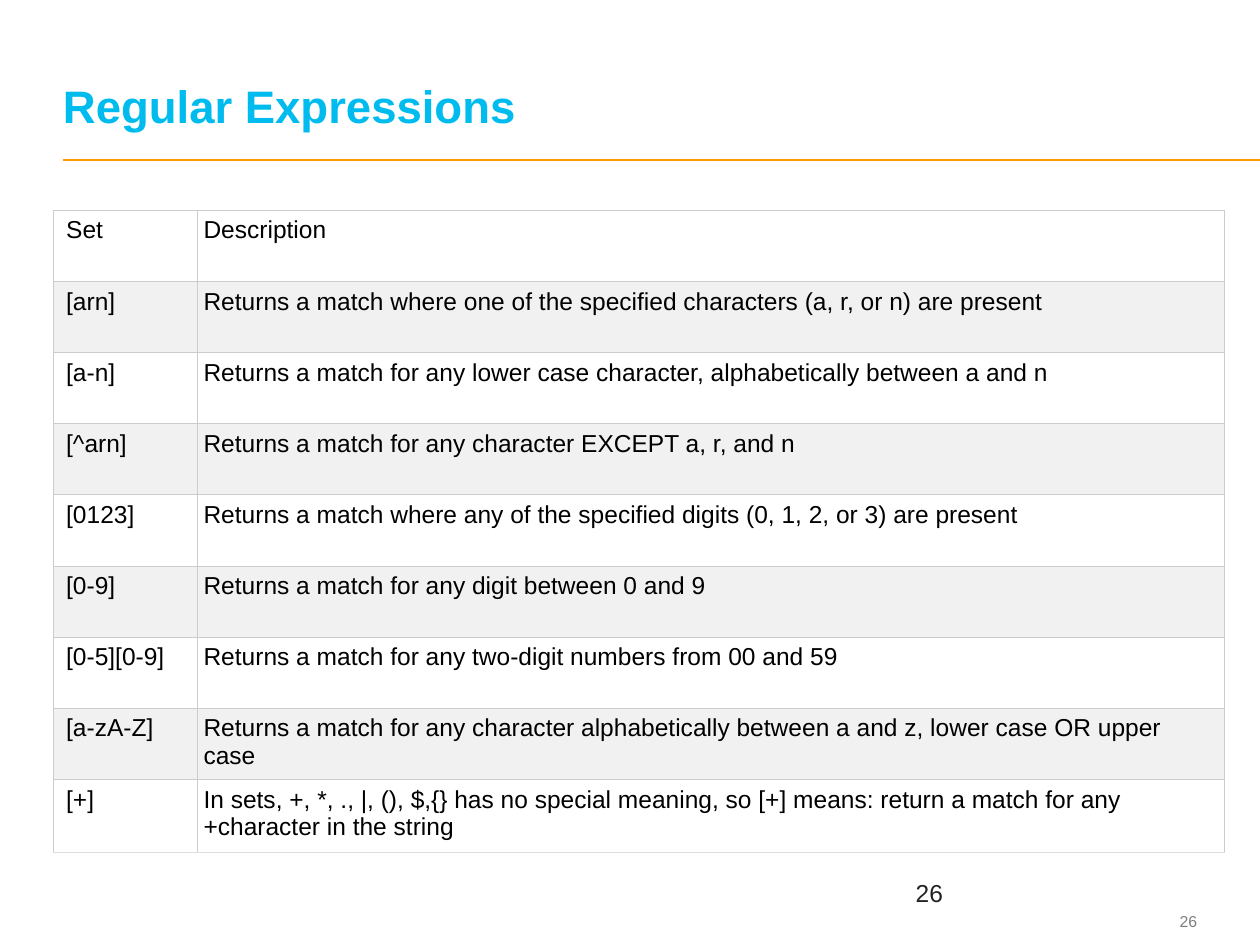
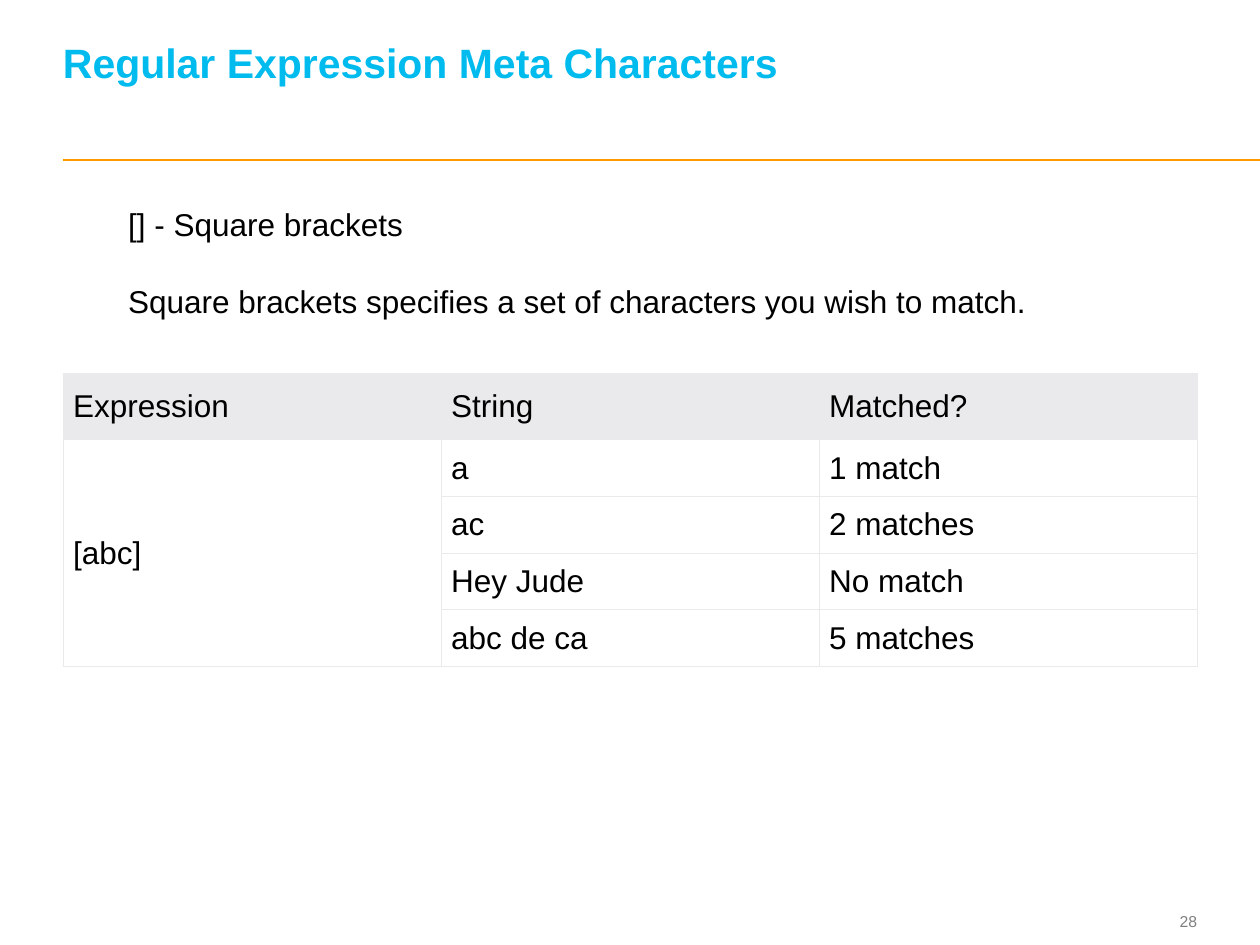
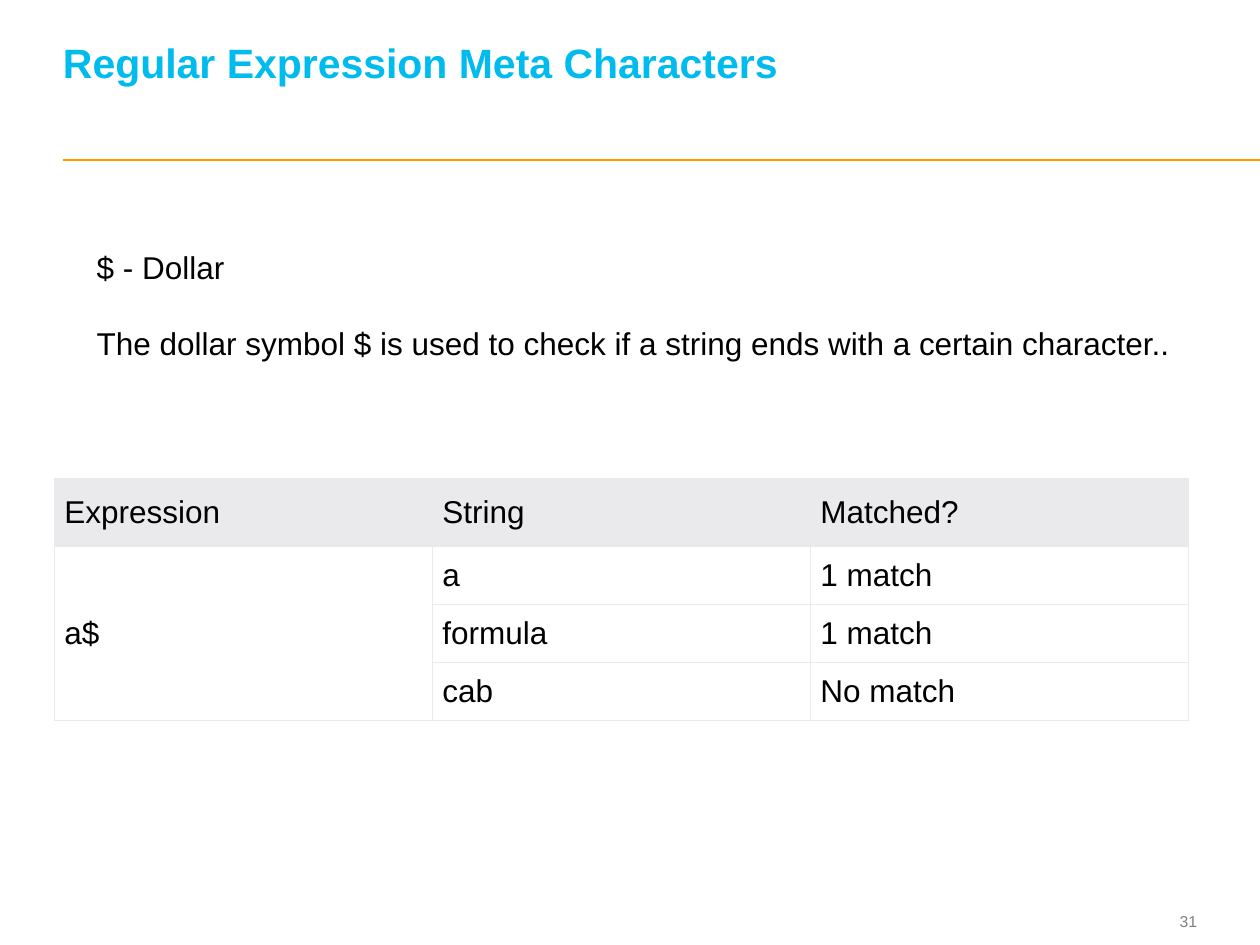
from lxml import etree
from pptx import Presentation
from pptx.dml import color
from pptx.enum import shapes, text
from pptx.oxml import ns
from pptx.util import Pt


def tint(code):
    return color.RGBColor.from_string(code)


class Deck:
    font = "Arial"
    sky, gold, black, gray, dark = "00BBEE", "FF9900", "000000", "7F7F7F", "222222"
    white, pale, mist = "FFFFFF", "F1F1F1", "EAEAEC"
    rim, foot = "CCCCCC", "DDDDDD"

    def __init__(self):
        self.show = Presentation()
        self.show.slide_width, self.show.slide_height = Pt(720), Pt(540)
        self.slide = None

    def page(self, num, head, size=26, lift=0):
        self.slide = self.show.slides.add_slide(self.show.slide_layouts[6])
        self.rule(36, 91.4, 720)
        tag = self.box((641.5, 517, 42.5, 19.4), [num], 9, self.gray, pads=(0, 0, 0, 0))
        tag.vertical_anchor = text.MSO_ANCHOR.MIDDLE
        tag.paragraphs[0].alignment = text.PP_ALIGN.RIGHT
        title = self.box((36, 13.7, 645.8, 61.9), [head], size, self.sky,
                         bold=True, pads=(0, 0, 0, lift))
        title.vertical_anchor = text.MSO_ANCHOR.BOTTOM
        title.paragraphs[0].line_spacing = Pt(26)

    def rule(self, left, top, right):
        line = self.slide.shapes.add_connector(
            shapes.MSO_CONNECTOR.STRAIGHT, Pt(left), Pt(top), Pt(right), Pt(top))
        line.line.color.rgb = tint(self.gold)
        line.line.width = Pt(1)
        etree.SubElement(line._element.spPr, ns.qn("a:effectLst"))

    def style(self, frame, size, shade, bold=False):
        for para in frame.paragraphs:
            for run in para.runs:
                run.font.name = self.font
                run.font.size = Pt(size)
                run.font.bold = bold
                run.font.color.rgb = tint(shade)

    def box(self, area, lines, size, shade, bold=False, wrap=True,
            pads=(7.2, 3.6, 7.2, 3.6), gap=0):
        frame = self.slide.shapes.add_textbox(*map(Pt, area)).text_frame
        frame.word_wrap = wrap
        (frame.margin_left, frame.margin_top,
         frame.margin_right, frame.margin_bottom) = map(Pt, pads)
        frame.text = "\n".join(lines)
        for para in frame.paragraphs[1:]:
            para.space_before = Pt(gap)
        self.style(frame, size, shade, bold)
        return frame

    def edge(self, cell, hues):
        props = cell._tc.get_or_add_tcPr()
        for spot, (side, hue) in enumerate(zip("LRTB", hues)):
            line = etree.Element(ns.qn("a:ln" + side), w=str(Pt(0.6)))
            fill = etree.SubElement(line, ns.qn("a:solidFill"))
            etree.SubElement(fill, ns.qn("a:srgbClr"), val=hue)
            props.insert(spot, line)

    def grid(self, left, top, cols, tall, rows, size, look):
        table = self.slide.shapes.add_table(
            len(rows), len(cols), Pt(left), Pt(top), Pt(sum(cols)), Pt(sum(tall))).table
        table.first_row = table.horz_banding = False
        for col, wide in zip(table.columns, cols):
            col.width = Pt(wide)
        for r, row in enumerate(rows):
            table.rows[r].height = Pt(tall[r])
            for c, word in enumerate(row):
                cell = table.cell(r, c)
                fill, pads, anchor, hues = look(r, c)
                cell.text_frame.text = word
                self.style(cell.text_frame, size, self.black)
                (cell.margin_left, cell.margin_top,
                 cell.margin_right, cell.margin_bottom) = map(Pt, pads)
                cell.vertical_anchor = anchor
                cell.fill.solid()
                cell.fill.fore_color.rgb = tint(fill)
                self.edge(cell, hues)
        return table

    def sets(self, rows):
        last = len(rows) - 1

        def look(r, c):
            base = self.foot if r == last else self.rim
            return (self.pale if r % 2 else self.white,
                    (3.6 if c else 7.2, 3.6, 3.6, 3.6),
                    text.MSO_ANCHOR.TOP, [self.rim] * 3 + [base])

        self.grid(30.6, 120.2, (82.1, 586.8), [40.65] * last + [41.7], rows, 14, look)

    def match(self, left, top, rule, hits, head, body):
        def look(r, c):
            return (self.white if r else self.mist,
                    (5.8, 5.6, 5, 5.2) if r else (5.8, 8.2, 5, 8.2),
                    text.MSO_ANCHOR.MIDDLE, [self.mist] * 4)

        rows = [("Expression", "String", "Matched?")]
        rows += [("" if n else rule, *hit) for n, hit in enumerate(hits)]
        table = self.grid(left, top, [216] * 3, [head] + [body] * len(hits), rows, 18, look)
        table.cell(1, 0).merge(table.cell(len(hits), 0))

    def meta(self, num, area, lines):
        self.page(num, "Regular Expression Meta Characters", 23.4, 26)
        self.box(area, lines, 18, self.black, wrap=False, gap=22)


def main():
    deck = Deck()

    deck.page("26", "Regular Expressions")
    deck.box((516.2, 498.2, 162, 30.2), ["26"], 14, deck.dark)
    deck.sets([
        ("Set", "Description"),
        ("[arn]", "Returns a match where one of the specified characters (a, r, or n) are present"),
        ("[a-n]", "Returns a match for any lower case character, alphabetically between a and n"),
        ("[^arn]", "Returns a match for any character EXCEPT a, r, and n"),
        ("[0123]", "Returns a match where any of the specified digits (0, 1, 2, or 3) are present"),
        ("[0-9]", "Returns a match for any digit between 0 and 9"),
        ("[0-5][0-9]", "Returns a match for any two-digit numbers from 00 and 59"),
        ("[a-zA-Z]", "Returns a match for any character alphabetically between a and z, "
                     "lower case OR upper case"),
        ("[+]", "In sets, +, *, ., |, (), $,{} has no special meaning, so [+] means: "
                "return a match for any +character in the string"),
    ])

    deck.meta("28", (66.2, 113.8, 532.8, 72.7), [
        "[] - Square brackets",
        "Square brackets specifies a set of characters you wish to match.",
    ])
    deck.match(36, 213.2, "[abc]", [
        ("a", "1 match"),
        ("ac", "2 matches"),
        ("Hey Jude", "No match"),
        ("abc de ca", "5 matches"),
    ], 37.1, 31.6)

    deck.meta("31", (48.2, 138.2, 627.8, 72.7), [
        "$ - Dollar",
        "The dollar symbol $ is used to check if a string ends with a certain character..",
    ])
    deck.match(31, 273.3, "a$", [
        ("a", "1 match"),
        ("formula", "1 match"),
        ("cab", "No match"),
    ], 38.9, 33.1)

    deck.show.save("out.pptx")


if __name__ == "__main__":
    main()
